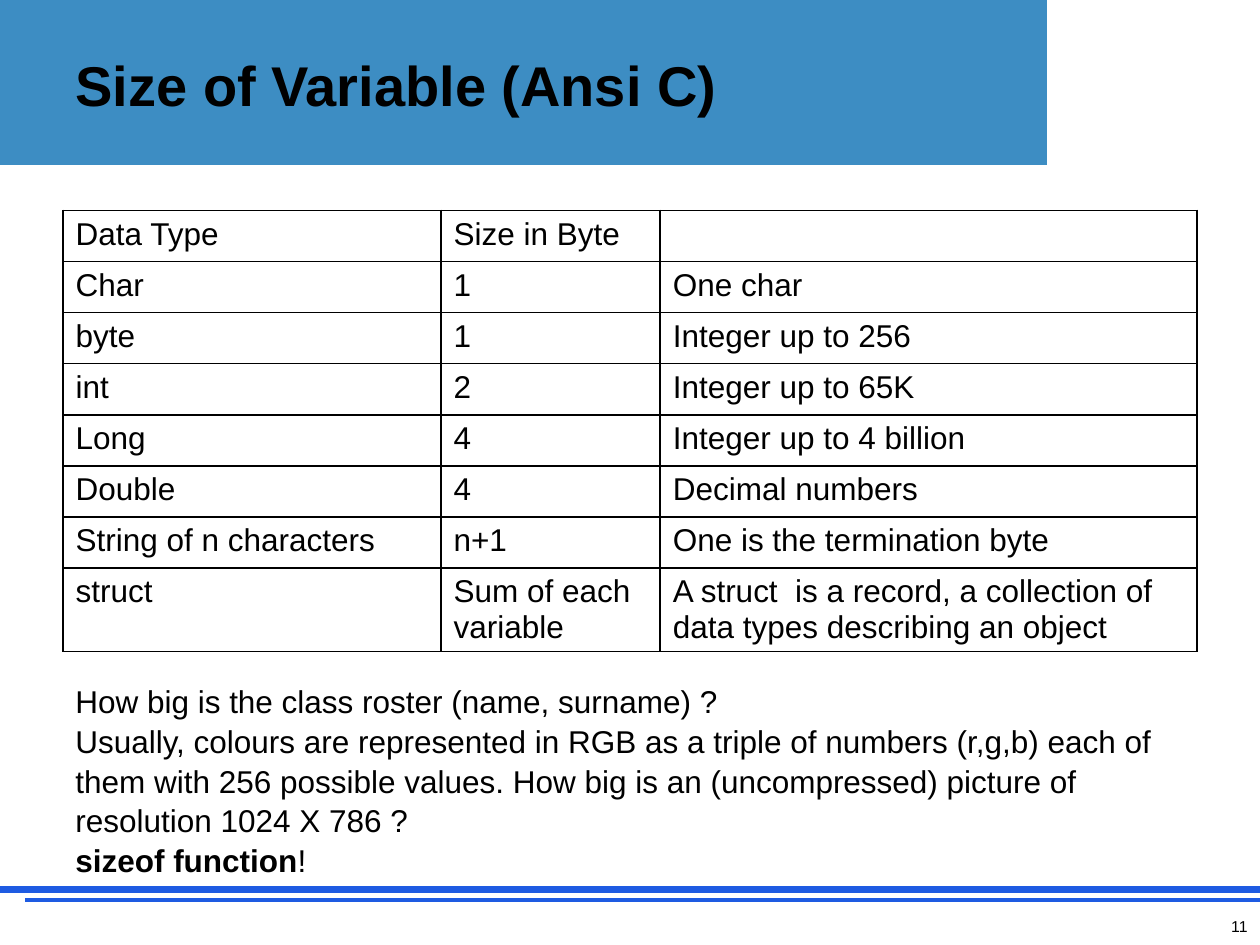
from dataclasses import dataclass
from lxml.etree import SubElement
from pptx import Presentation
from pptx.dml.color import RGBColor
from pptx.enum.shapes import MSO_CONNECTOR, MSO_SHAPE
from pptx.enum.text import MSO_ANCHOR, MSO_AUTO_SIZE, PP_ALIGN
from pptx.oxml.ns import qn
from pptx.util import Inches, Pt


@dataclass(frozen=True)
class Theme:
    font: str = "Arial"
    ink: str = "000000"
    band: str = "3D8DC3"
    rule: str = "1E5BE2"
    paper: str = "FFFFFF"
    head: int = 32
    body: int = 18
    small: int = 9


theme = Theme()


def write(para, text, size=theme.body, bold=False):
    run = para.add_run()
    run.text = text
    run.font.name = theme.font
    run.font.size = Pt(size)
    run.font.bold = bold
    run.font.color.rgb = RGBColor.from_string(theme.ink)


def edge(cell):
    props = cell._tc.get_or_add_tcPr()
    for spot, side in enumerate(("a:lnL", "a:lnR", "a:lnT", "a:lnB")):
        line = props.makeelement(qn(side), {"w": str(Pt(1))})
        fill = SubElement(line, qn("a:solidFill"))
        SubElement(fill, qn("a:srgbClr"), val=theme.ink)
        props.insert(spot, line)


deck = Presentation()
deck.slide_width, deck.slide_height = Inches(10), Inches(7.5)
slide = deck.slides.add_slide(deck.slide_layouts[5])
shapes = slide.shapes

for left, width, height, tint in [(0, 10, 1.31, theme.band), (8.31, 1.69, 1.39, theme.paper)]:
    block = shapes.add_shape(MSO_SHAPE.RECTANGLE, Inches(left), 0, Inches(width), Inches(height))
    block.shadow.inherit = False
    block.fill.solid()
    block.fill.fore_color.rgb = RGBColor.from_string(tint)
    block.line.fill.background()

for left, top, weight in [(0, 7.06, 4.5), (0.2, 7.14, 2.25)]:
    rule = shapes.add_connector(MSO_CONNECTOR.STRAIGHT, Inches(left), Inches(top), Inches(10), Inches(top))
    rule.line.color.rgb = RGBColor.from_string(theme.rule)
    rule.line.width = Pt(weight)
    SubElement(rule.element.spPr, qn("a:effectLst"))

title = shapes.title
title.left, title.top = Inches(0.5), Inches(0.13)
title.width, title.height = Inches(6.86), Inches(1.08)
title.element.getparent().append(title.element)
title.text_frame.vertical_anchor = MSO_ANCHOR.MIDDLE
para = title.text_frame.paragraphs[0]
para.alignment = PP_ALIGN.LEFT
write(para, "Size of Variable (Ansi C)", theme.head, True)

rows = [
    ("Data Type", "Size in Byte", ""),
    ("Char", "1", "One char"),
    ("byte", "1", "Integer up to 256"),
    ("int", "2", "Integer up to 65K"),
    ("Long", "4", "Integer up to 4 billion"),
    ("Double", "4", "Decimal numbers"),
    ("String of n characters", "n+1", "One is the termination byte"),
    ("struct", "Sum of each variable", "A struct  is a record, a collection of data types describing an object"),
]
high = Inches(2.84 / 7)
table = shapes.add_table(len(rows), 3, Inches(0.5), Inches(1.67), Inches(9), high * len(rows)).table
table.first_row = table.horz_banding = False
for col, width in zip(table.columns, (3, 1.74, 4.26)):
    col.width = Inches(width)
for row, words in zip(table.rows, rows):
    row.height = high
    for cell, text in zip(row.cells, words):
        cell.fill.background()
        edge(cell)
        if text:
            write(cell.text_frame.paragraphs[0], text)

lines = [
    [("How big is the class roster (name, surname) ?", False)],
    [("Usually, colours are represented in RGB as a triple of numbers (r,g,b) each of them with 256 "
      "possible values. How big is an (uncompressed) picture of resolution 1024 X 786 ?", False)],
    [("sizeof function", True), ("!", False)],
]
frame = shapes.add_textbox(Inches(0.5), Inches(5.35), Inches(9.07), Inches(1.62)).text_frame
frame.word_wrap = True
frame.auto_size = MSO_AUTO_SIZE.SHAPE_TO_FIT_TEXT
for spot, runs in enumerate(lines):
    para = frame.add_paragraph() if spot else frame.paragraphs[0]
    para.line_spacing = 1.05
    for text, bold in runs:
        write(para, text, bold=bold)

frame = shapes.add_textbox(Inches(7.67), Inches(7.23), Inches(2.33), Inches(0.27)).text_frame
frame.word_wrap = True
para = frame.paragraphs[0]
para.alignment = PP_ALIGN.RIGHT
write(para, "11", theme.small)

deck.save("out.pptx")
